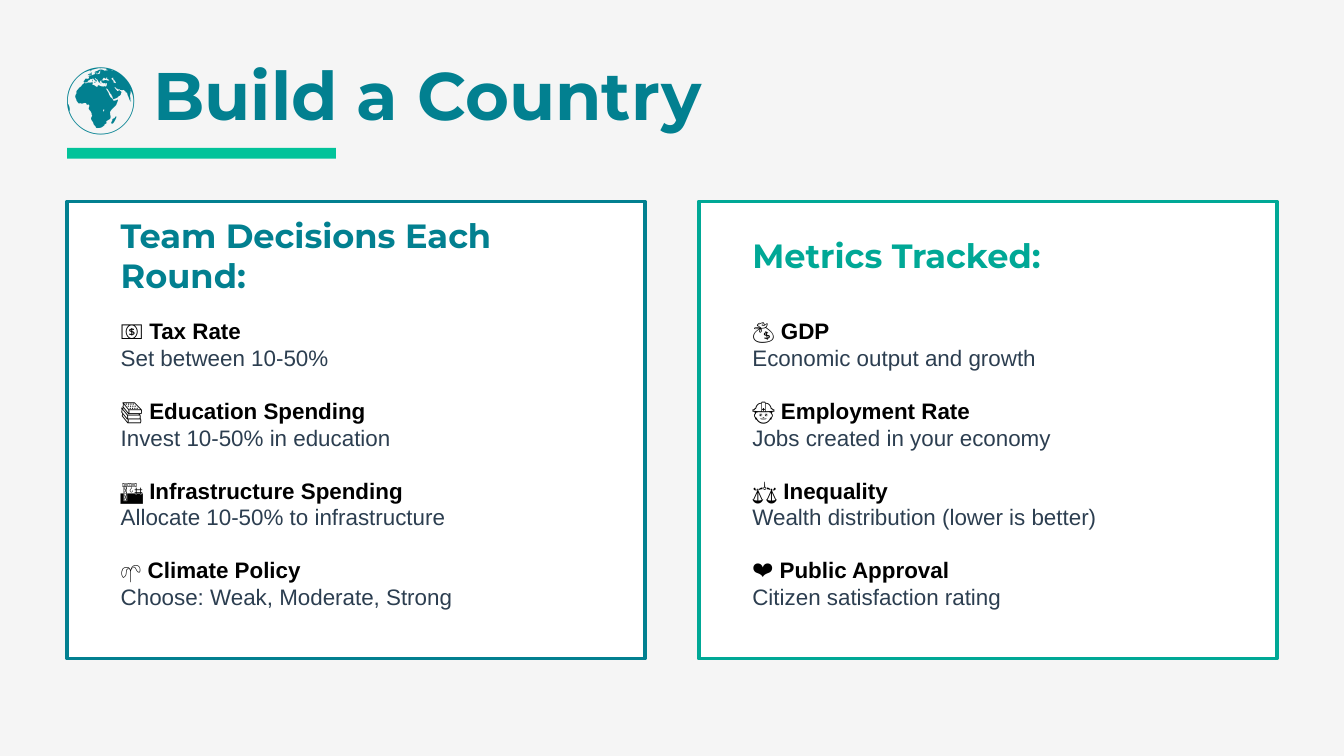
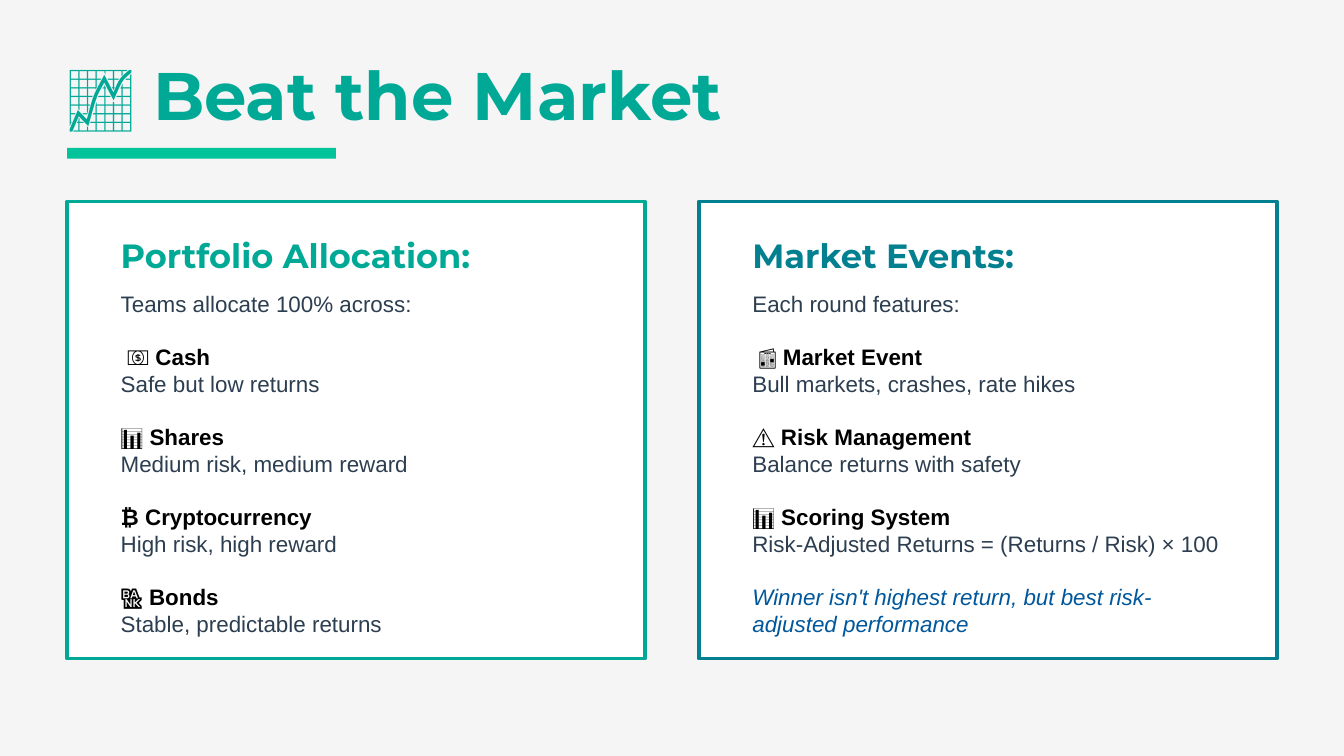
import pptx
import pptx.util
import pptx.dml.color
import pptx.enum.shapes
import pptx.enum.text

COLOURS = {
    "page": "F5F5F5",
    "card": "FFFFFF",
    "bar": "02C39A",
    "teal": "028090",
    "green": "00A896",
    "label": "000000",
    "body": "2C3E50",
    "closing": "01579B",
}
HEAD_FONT = "Montserrat"
BODY_FONT = "Arial"

W = pptx.util.Inches(10)
H = W * 9 // 16
UNIT = W // 100
MARGIN = 5
GUTTER = 4
CARD_W = (100 - 2 * MARGIN - GUTTER) / 2
CARD_TOP, CARD_H = 15, 34
PAD = 3
ITEM_GAP = pptx.util.Pt(14)


def units(*values):
    return [round(v * UNIT) for v in values]


def rgb(name):
    return pptx.dml.color.RGBColor.from_string(COLOURS[name])


def format_paragraph(p, size, font, colour, bold=False, italic=False):
    for r in p.runs:
        r.font.size = pptx.util.Pt(size)
        r.font.name = font
        r.font.color.rgb = rgb(colour)
        r.font.bold = bold
        r.font.italic = italic


def add_frame(s, *box):
    tf = s.shapes.add_textbox(*units(*box)).text_frame
    tf.word_wrap = True
    tf.vertical_anchor = pptx.enum.text.MSO_ANCHOR.MIDDLE
    return tf


def add_heading(s, box, text, size, colour):
    tf = add_frame(s, *box)
    tf.text = text
    format_paragraph(tf.paragraphs[0], size, HEAD_FONT, colour, bold=True)
    return tf


def add_rect(s, box, fill, line=None):
    sp = s.shapes.add_shape(pptx.enum.shapes.MSO_SHAPE.RECTANGLE, *units(*box))
    sp.shadow.inherit = False
    sp.fill.solid()
    sp.fill.fore_color.rgb = rgb(fill)
    if line:
        sp.line.color.rgb = rgb(line)
        sp.line.width = pptx.util.Pt(2)
    else:
        sp.line.fill.background()


def add_body(s, box, items, intro=None, closing=None):
    lines = [(intro, "body", {}, True)] if intro else []
    for label, detail in items:
        lines.append((label, "label", {"bold": True}, True))
        lines.append((detail, "body", {}, False))
    if closing:
        lines.append((closing, "closing", {"italic": True}, True))
    tf = add_frame(s, *box)
    for i, (text, colour, style, starts_group) in enumerate(lines):
        p = tf.add_paragraph() if i else tf.paragraphs[0]
        p.text = text
        format_paragraph(p, 12, BODY_FONT, colour, **style)
        if i and starts_group:
            p.space_before = ITEM_GAP


def add_card(s, column, colour, heading, **body):
    left = MARGIN + column * (CARD_W + GUTTER)
    inner_left, inner_w = left + PAD, CARD_W - 2 * PAD
    add_rect(s, (left, CARD_TOP, CARD_W, CARD_H), "card", colour)
    add_heading(s, (inner_left, CARD_TOP + 2, inner_w, 4), heading, 18, colour)
    add_body(s, (inner_left, CARD_TOP + 7, inner_w, 25), **body)


def add_slide(prs, title, colour, cards):
    s = prs.slides.add_slide(prs.slide_layouts[6])
    s.background.fill.solid()
    s.background.fill.fore_color.rgb = rgb("page")
    tf = add_heading(s, (MARGIN, 4, 100 - 2 * MARGIN, 6), title, 36, colour)
    tf.margin_left = tf.margin_right = tf.margin_top = tf.margin_bottom = 0
    add_rect(s, (MARGIN, 11, 20, 0.8), "bar")
    for column, card in enumerate(cards):
        add_card(s, column, **card)


def main():
    prs = pptx.Presentation()
    prs.slide_width, prs.slide_height = W, H
    add_slide(prs, "🌍 Build a Country", "teal", [
        dict(colour="teal", heading="Team Decisions Each Round:", items=[
            ("💵 Tax Rate", "Set between 10-50%"),
            ("📚 Education Spending", "Invest 10-50% in education"),
            ("🏗️ Infrastructure Spending", "Allocate 10-50% to infrastructure"),
            ("🌱 Climate Policy", "Choose: Weak, Moderate, Strong"),
        ]),
        dict(colour="green", heading="Metrics Tracked:", items=[
            ("💰 GDP", "Economic output and growth"),
            ("👷 Employment Rate", "Jobs created in your economy"),
            ("⚖️ Inequality", "Wealth distribution (lower is better)"),
            ("❤️ Public Approval", "Citizen satisfaction rating"),
        ]),
    ])
    add_slide(prs, "📈 Beat the Market", "green", [
        dict(colour="green", heading="Portfolio Allocation:",
             intro="Teams allocate 100% across:", items=[
                 (" 💵 Cash", "Safe but low returns"),
                 ("📊 Shares", "Medium risk, medium reward"),
                 ("₿ Cryptocurrency", "High risk, high reward"),
                 ("🏦 Bonds", "Stable, predictable returns"),
             ]),
        dict(colour="teal", heading="Market Events:",
             intro="Each round features:", items=[
                 (" 📰 Market Event", "Bull markets, crashes, rate hikes"),
                 ("⚠️ Risk Management", "Balance returns with safety"),
                 ("📊 Scoring System",
                  "Risk-Adjusted Returns = (Returns / Risk) × 100"),
             ],
             closing="Winner isn't highest return, "
                     "but best risk-adjusted performance"),
    ])
    prs.save("out.pptx")


if __name__ == "__main__":
    main()
